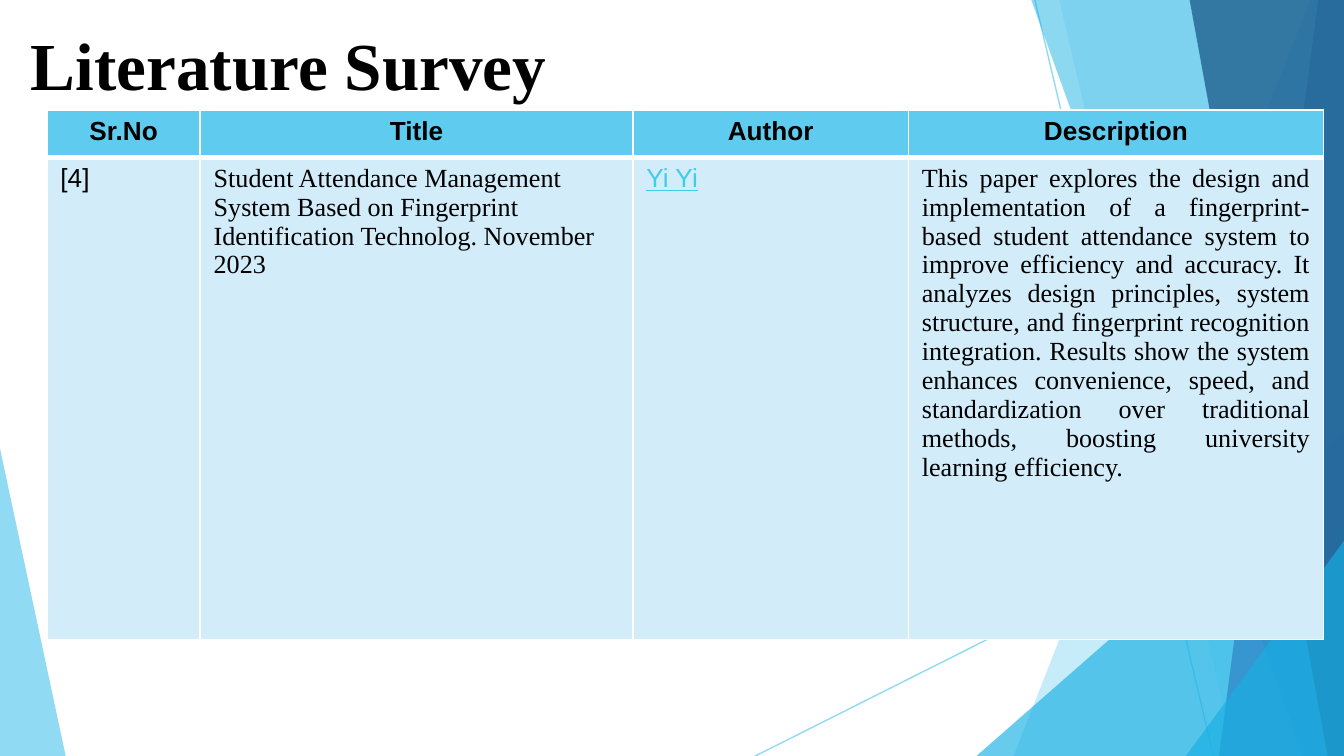
from lxml.etree import SubElement
from pptx import Presentation
from pptx.dml.color import RGBColor
from pptx.enum.shapes import MSO_CONNECTOR
from pptx.enum.text import MSO_ANCHOR, PP_ALIGN
from pptx.oxml.ns import qn
from pptx.util import Inches, Pt

SANS, SERIF = "Arial", "Times New Roman"
SKY, AZURE, BLUE, NAVY = "5FCBEF", "17B0E4", "2E83C3", "236292"
WHITE, BLACK, PALE, LINK = "FFFFFF", "000000", "D2ECF9", "3FCDE7"
LEFT, RIGHT, TOP, BOTTOM = -0.01, 10.01, -0.01, 5.63

TITLE = "Literature Survey"
COLUMNS = [("Sr.No", 1.14), ("Title", 3.22), ("Author", 2.05), ("Description", 3.09)]
ROW_HEIGHTS = [0.35, 3.59]
ENTRY = [
    ("[4]", SANS, BLACK, PP_ALIGN.LEFT),
    ("Student Attendance Management System Based on Fingerprint Identification "
     "Technolog. November 2023", SERIF, BLACK, PP_ALIGN.LEFT),
    ("Yi Yi", SANS, LINK, PP_ALIGN.LEFT),
    ("This paper explores the design and implementation of a fingerprint-based "
     "student attendance system to improve efficiency and accuracy. It analyzes "
     "design principles, system structure, and fingerprint recognition integration. "
     "Results show the system enhances convenience, speed, and standardization over "
     "traditional methods, boosting university learning efficiency.",
     SERIF, BLACK, PP_ALIGN.JUSTIFY),
]
LEFT_FACET = ([(LEFT, 3.29), (0.49, BOTTOM), (LEFT, BOTTOM)], SKY, 69)
RAYS = [((5.61, BOTTOM), (RIGHT, 3.42)), ((7.7, 0), (9.03, BOTTOM))]
RIGHT_FACETS = [
    (9.75, 7.54, 0, SKY, 35),
    (7.88, 9.19, TOP, SKY, 19),
    (RIGHT, 7.26, 3.22, AZURE, 65),
    (7.67, 9.7, TOP, AZURE, 49),
    (9.81, 9.07, TOP, BLUE, 69),
    (8.85, 9.88, TOP, NAVY, 81),
    (RIGHT, 8.82, 4.01, AZURE, 65),
]


def rgb(value):
    return RGBColor.from_string(value)


def set_alpha(fill_parent, percent):
    color = next(fill_parent.iter(qn("a:srgbClr")))
    SubElement(color, qn("a:alpha")).set("val", str(percent * 1000))


def add_facet(shapes, points, color, opacity):
    pts = [(Inches(x), Inches(y)) for x, y in points]
    builder = shapes.build_freeform(*pts[0])
    builder.add_line_segments(pts[1:], close=True)
    sp = builder.convert_to_shape()
    sp.shadow.inherit = False
    sp.fill.solid()
    sp.fill.fore_color.rgb = rgb(color)
    set_alpha(sp.element.spPr, opacity)
    sp.line.fill.background()


def add_ray(shapes, start, end):
    ray = shapes.add_connector(MSO_CONNECTOR.STRAIGHT, *map(Inches, start + end))
    ray.line.color.rgb = rgb(SKY)
    ray.line.width = Pt(0.75)
    set_alpha(ray.element.spPr, 69)
    SubElement(ray.element.spPr, qn("a:effectLst"))


def write(tf, text, font, size, color, bold=False, align=PP_ALIGN.LEFT):
    tf.text = text
    p = tf.paragraphs[0]
    p.alignment = align
    r = p.runs[0]
    r.font.name, r.font.size, r.font.bold = font, Pt(size), bold
    r.font.underline = color == LINK
    r.font.color.rgb = rgb(color)


def style_cell(cell, fill, top, bottom):
    cell.fill.solid()
    cell.fill.fore_color.rgb = rgb(fill)
    tcPr = cell._tc.get_or_add_tcPr()
    for i, (side, width) in enumerate(zip("LRTB", (1, 1, top, bottom))):
        ln = SubElement(tcPr, qn(f"a:ln{side}"), w=str(Pt(width)))
        SubElement(SubElement(ln, qn("a:solidFill")), qn("a:srgbClr"), val=WHITE)
        tcPr.insert(i, ln)


def add_survey_table(shapes):
    width = sum(w for _, w in COLUMNS)
    table = shapes.add_table(2, len(COLUMNS), Inches(0.35), Inches(0.82),
                             Inches(width), Inches(sum(ROW_HEIGHTS))).table
    for row, height in zip(table.rows, ROW_HEIGHTS):
        row.height = Inches(height)
    for i, ((heading, width), (text, font, color, align)) in enumerate(zip(COLUMNS, ENTRY)):
        table.columns[i].width = Inches(width)
        head, body = table.cell(0, i), table.cell(1, i)
        write(head.text_frame, heading, SANS, 14, BLACK, True, PP_ALIGN.CENTER)
        write(body.text_frame, text, font, 14, color, align=align)
        style_cell(head, SKY, 1, 3)
        style_cell(body, PALE, 3, 1)


def main():
    """Build the literature survey slide."""
    prs = Presentation()
    prs.slide_width, prs.slide_height = Inches(10), Inches(10 * 9 / 16)
    s = prs.slides.add_slide(prs.slide_layouts[5])
    add_facet(s.shapes, *LEFT_FACET)
    for start, end in RAYS:
        add_ray(s.shapes, start, end)
    for x_top, x_bottom, top, color, opacity in RIGHT_FACETS:
        points = [(x_top, top), (x_bottom, BOTTOM), (RIGHT, BOTTOM), (RIGHT, top)]
        add_facet(s.shapes, points, color, opacity)

    title = s.shapes.title
    title.left, title.top, title.width, title.height = map(Inches, (0.15, 0.14, 6.94, 0.67))
    tf = title.text_frame
    write(tf, TITLE, SERIF, 36, BLACK, True)
    tf.vertical_anchor = MSO_ANCHOR.BOTTOM
    tf.margin_left = tf.margin_right = Inches(0.08)
    tf.margin_top = tf.margin_bottom = Inches(0.04)
    add_survey_table(s.shapes)
    prs.save("out.pptx")


if __name__ == "__main__":
    main()
